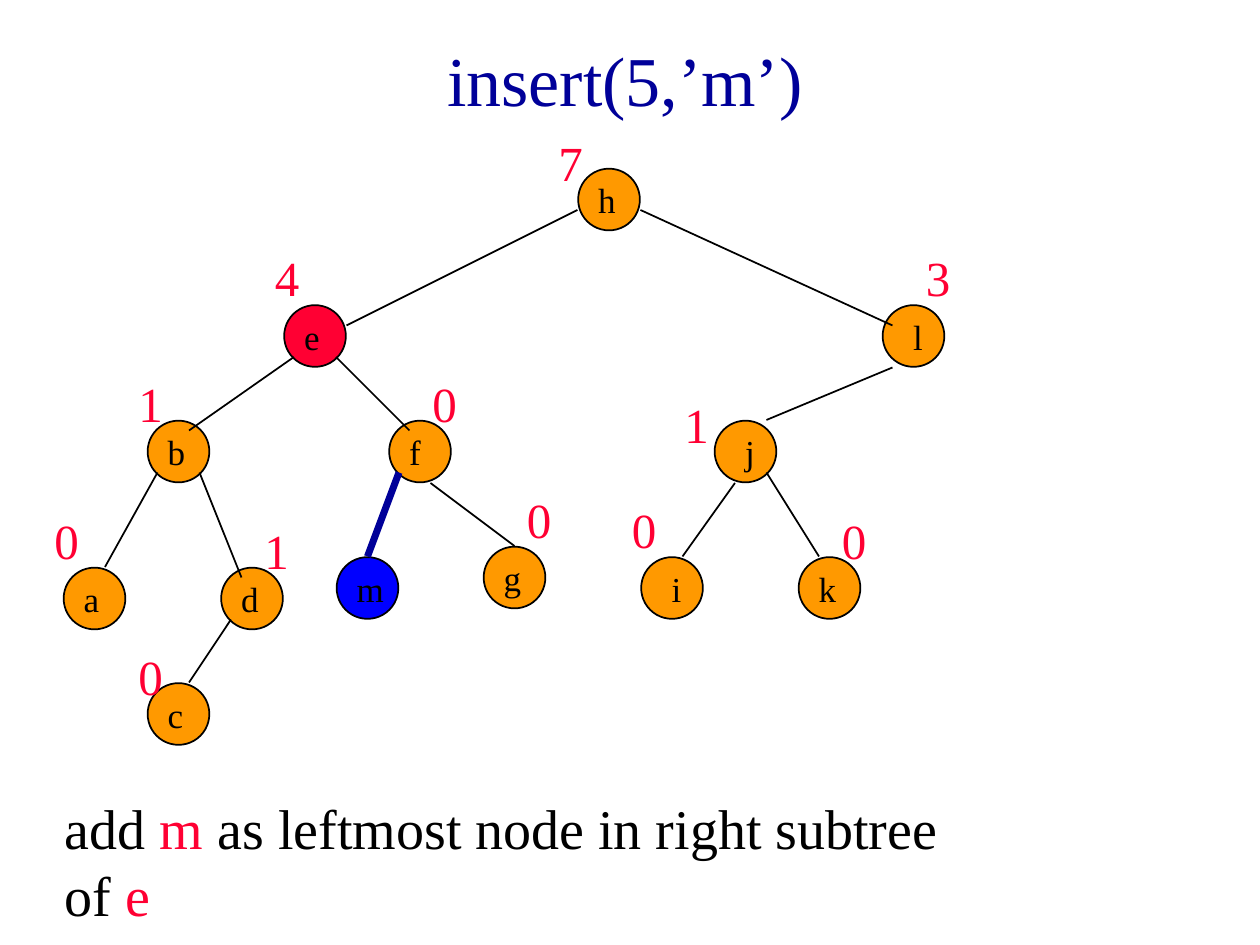
from collections import namedtuple

from pptx import Presentation
from pptx import util as u
from pptx.dml.color import RGBColor
from pptx.enum import shapes, text
from pptx.oxml.ns import qn

FONT = "Times New Roman"
BLACK, NAVY, RED, ORANGE, BLUE = "000000", "000099", "FF0033", "FF9900", "0000FF"
UNIT = 6  # points per step of the tree grid
CELL = 6 * UNIT

Box = namedtuple("Box", "left top width height")
Node = namedtuple("Node", "x y rank rank_shift fill", defaults=(None, None, ORANGE))

# Positions and rank shifts are in grid steps.
NODES = {
    "h": Node(49, 4, "7", (-3, -4)),
    "e": Node(21, 17, "4", (-2, -6), RED),
    "l": Node(78, 17, "3", (3, -6)),
    "b": Node(8, 28, "1", (-2, -5)),
    "f": Node(31, 28, "0", (3, -5)),
    "j": Node(62, 28, "1", (-4, -3)),
    "a": Node(0, 42, "0", (-2, -6)),
    "d": Node(15, 42, "1", (3, -5)),
    "i": Node(55, 41, "0", (-2, -6)),
    "k": Node(70, 41, "0", (3, -5)),
    "c": Node(8, 53, "0", (-2, -4)),
    "g": Node(40, 40, "0", (3, -6)),
    "m": Node(26, 41, fill=BLUE),
}

# Parent, child, then the line's ends as steps from each node's corner.
EDGES = [
    ("h", "e", (0, 4), (6, 2)),
    ("h", "l", (6, 4), (1, 2)),
    ("e", "b", (1, 5), (4, 1)),
    ("e", "f", (5, 5), (2, 1)),
    ("l", "j", (1, 6), (5, 0)),
    ("b", "a", (1, 5), (4, 0)),
    ("b", "d", (5, 5), (2, 1)),
    ("j", "i", (2, 6), (4, 0)),
    ("j", "k", (5, 5), (2, 0)),
    ("d", "c", (1, 5), (4, 0)),
    ("f", "g", (4, 6), (3, 0)),
    ("f", "m", (1, 5), (3, 0)),
]


def color(value):
    return RGBColor.from_string(value)


def points(box):
    return [u.Pt(length) for length in box]


def add_text(page, box, spans, size, align=text.PP_ALIGN.LEFT,
             anchor=text.MSO_ANCHOR.TOP):
    """Write one paragraph of (words, colour) spans."""
    frame = page.shapes.add_textbox(*points(box)).text_frame
    frame.word_wrap = True
    frame.vertical_anchor = anchor
    para = frame.paragraphs[0]
    para.alignment = align
    for words, shade in spans:
        span = para.add_run()
        span.text = words
        span.font.name = FONT
        span.font.size = u.Pt(size)
        span.font.color.rgb = color(shade)


def add_line(page, start, end, shade=BLACK, width=1):
    line = page.shapes.add_connector(
        shapes.MSO_CONNECTOR.STRAIGHT, *points(start + end))
    line.line.color.rgb = color(shade)
    line.line.width = u.Pt(width)
    properties = line._element.spPr
    properties.append(properties.makeelement(qn("a:effectLst"), {}))


def add_node(page, box, letter, fill):
    circle = page.shapes.add_shape(
        shapes.MSO_SHAPE.OVAL,
        *points((box.left + 0.4, box.top + 0.4, box.width - 0.75, box.height - 0.75)))
    circle.shadow.inherit = False
    circle.fill.solid()
    circle.fill.fore_color.rgb = color(fill)
    circle.line.color.rgb = color(BLACK)
    circle.line.width = u.Pt(1)
    indent = 10.75 if letter in "ijl" else 4.75
    add_text(page, Box(box.left + indent, box.top + 2.5, 30.5, 31),
             [(letter, BLACK)], 20)


def add_tree(page, box):
    def place(node, shift=(0, 0)):
        return (box.left + (node.x + shift[0]) * UNIT,
                box.top + (node.y + shift[1]) * UNIT)

    for letter, node in NODES.items():
        add_node(page, Box(*place(node), CELL, CELL), letter, node.fill)
    for parent, child, leave, arrive in EDGES:
        style = {"shade": NAVY, "width": 4} if child == "m" else {}
        add_line(page, place(NODES[parent], leave), place(NODES[child], arrive), **style)
    for node in NODES.values():
        if node.rank:
            add_text(page, Box(*place(node, node.rank_shift), 18, 41),
                     [(node.rank, RED)], 28)


def add_title(page, box):
    add_text(page, box, [("insert(5,’m’)", NAVY)], 40,
             align=text.PP_ALIGN.CENTER, anchor=text.MSO_ANCHOR.MIDDLE)


def add_explanation(page, box):
    add_text(page, box, [("add ", BLACK), ("m", RED),
                         (" as leftmost node in right subtree of ", BLACK),
                         ("e", RED)], 32)


def main():
    deck = Presentation()
    deck.slide_width, deck.slide_height = u.Pt(720), u.Pt(540)
    page = deck.slides.add_slide(deck.slide_layouts[6])
    add_title(page, Box(6, 0, 702, 90))
    add_tree(page, Box(36, 72, 504, 354))
    add_explanation(page, Box(30, 450, 522, 84))
    deck.save("out.pptx")


if __name__ == "__main__":
    main()
